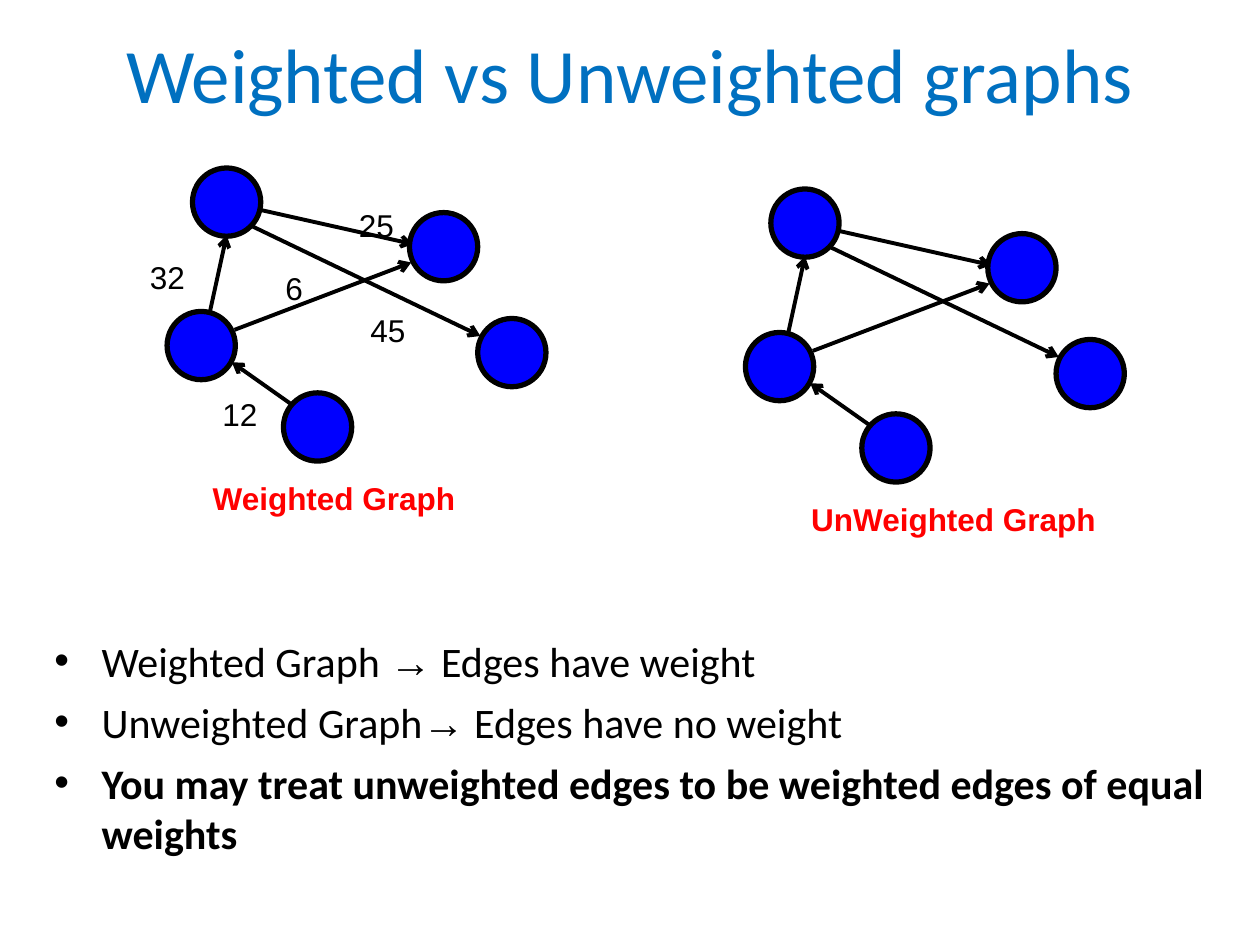
from pptx import Presentation
from pptx.dml.color import RGBColor
from pptx.enum.shapes import MSO_CONNECTOR, MSO_SHAPE
from pptx.enum.text import MSO_ANCHOR, MSO_AUTO_SIZE, PP_ALIGN
from pptx.oxml.ns import qn
from pptx.util import Pt
from lxml.etree import SubElement

THEME = dict(
    title="0070C0", text="000000", caption="FF0000", node="0000FF", line="000000",
    title_size=44, body_size=24, label_size=18, body_font="Calibri", label_font="Arial",
)

TITLE = "Weighted vs Unweighted graphs"
# Each bullet is a list of (text, font, bold) runs
BODY, SYMBOL = THEME["body_font"], THEME["label_font"]
BULLETS = [
    [("Weighted Graph ", BODY, False), ("→", SYMBOL, False),
     (" Edges have weight", BODY, False)],
    [("Unweighted Graph", BODY, False), ("→", SYMBOL, False),
     (" Edges have no weight", BODY, False)],
    [("You may treat unweighted edges to be weighted edges of equal weights", BODY, True)],
]

# Weighted graph in points; the unweighted one is the same graph shifted
NODE_SIZE = 39
NODES = [(110, 96), (234, 121.5), (162, 224.5), (95.5, 178), (273, 182)]
EDGE_BEHIND = ((149, 120), (236, 139.5))
EDGES = [
    ((120, 178), (129.5, 134.5)),
    ((166.5, 231), (132.5, 207)),
    ((144.5, 129.5), (274.5, 192)),
    ((134, 188.5), (235, 150)),
]
SHIFTS = [(330.5, 12), (0, 0)]
CAPTIONS = [("Weighted Graph", 114.5, 270, 153), ("UnWeighted Graph", 456.5, 282, 177)]
WEIGHTS = [("6", 156, 150, 24.5), ("32", 78.5, 144, 34.5), ("25", 198, 114, 34.5),
           ("12", 120, 222, 34.5), ("45", 204.5, 174, 34.5)]


def rgb(name):
    return RGBColor.from_string(THEME[name])


def add_run(p, text, font=BODY, size="body_size", color="text", bold=False):
    r = p.add_run()
    r.text = text
    r.font.name, r.font.size, r.font.bold = font, Pt(THEME[size]), bold
    r.font.color.rgb = rgb(color)


def add_label(s, text, x, y, w, **fmt):
    tf = s.shapes.add_textbox(Pt(x), Pt(y), Pt(w), Pt(29)).text_frame
    tf.word_wrap = False
    tf.auto_size = MSO_AUTO_SIZE.SHAPE_TO_FIT_TEXT
    add_run(tf.paragraphs[0], text, font=SYMBOL, size="label_size", **fmt)


def add_edge(group, start, end, dx, dy):
    (x1, y1), (x2, y2) = start, end
    c = group.shapes.add_connector(MSO_CONNECTOR.STRAIGHT, Pt(x1 + dx), Pt(y1 + dy),
                                   Pt(x2 + dx), Pt(y2 + dy))
    c.line.width = Pt(2.25)
    c.line.color.rgb = rgb("line")
    SubElement(c.line._get_or_add_ln(), qn("a:tailEnd"), type="arrow")
    SubElement(c._element.spPr, qn("a:effectLst"))


def add_node(group, x, y):
    sp = group.shapes.add_shape(MSO_SHAPE.OVAL, Pt(x), Pt(y), Pt(NODE_SIZE), Pt(NODE_SIZE))
    sp.shadow.inherit = False
    sp.fill.solid()
    sp.fill.fore_color.rgb = rgb("node")
    sp.line.color.rgb = rgb("line")
    sp.line.width = Pt(3)


def add_graph(s, dx, dy):
    group = s.shapes.add_group_shape()
    add_edge(group, *EDGE_BEHIND, dx, dy)
    for x, y in NODES:
        add_node(group, x + dx, y + dy)
    for start, end in EDGES:
        add_edge(group, start, end, dx, dy)


def add_title(s):
    sp = s.shapes.title
    sp.left, sp.top, sp.width, sp.height = Pt(36), Pt(21.6), Pt(648), Pt(90)
    tf = sp.text_frame
    tf.vertical_anchor = MSO_ANCHOR.MIDDLE
    tf.margin_bottom = Pt(54)
    p = tf.paragraphs[0]
    p.alignment = PP_ALIGN.CENTER
    add_run(p, TITLE, size="title_size", color="title")


def add_bullets(s):
    tf = s.shapes.add_textbox(Pt(24), Pt(324), Pt(678), Pt(192)).text_frame
    tf.word_wrap = True
    tf.margin_top = Pt(39)
    for i, runs in enumerate(BULLETS):
        p = tf.add_paragraph() if i else tf.paragraphs[0]
        p.space_before = Pt(6 if i else 0)
        pPr = p._p.get_or_add_pPr()
        pPr.set("marL", str(Pt(27)))
        pPr.set("indent", str(-Pt(27)))
        SubElement(pPr, qn("a:buFont"), typeface=SYMBOL)
        SubElement(pPr, qn("a:buChar"), char="•")
        for text, font, bold in runs:
            add_run(p, text, font=font, bold=bold)


def main():
    prs = Presentation()
    prs.slide_width, prs.slide_height = Pt(720), Pt(540)
    s = prs.slides.add_slide(prs.slide_layouts[5])
    add_title(s)
    add_bullets(s)
    for shift in SHIFTS:
        add_graph(s, *shift)
    for caption in CAPTIONS:
        add_label(s, *caption, color="caption", bold=True)
    for weight in WEIGHTS:
        add_label(s, *weight)
    prs.save("out.pptx")


if __name__ == "__main__":
    main()
